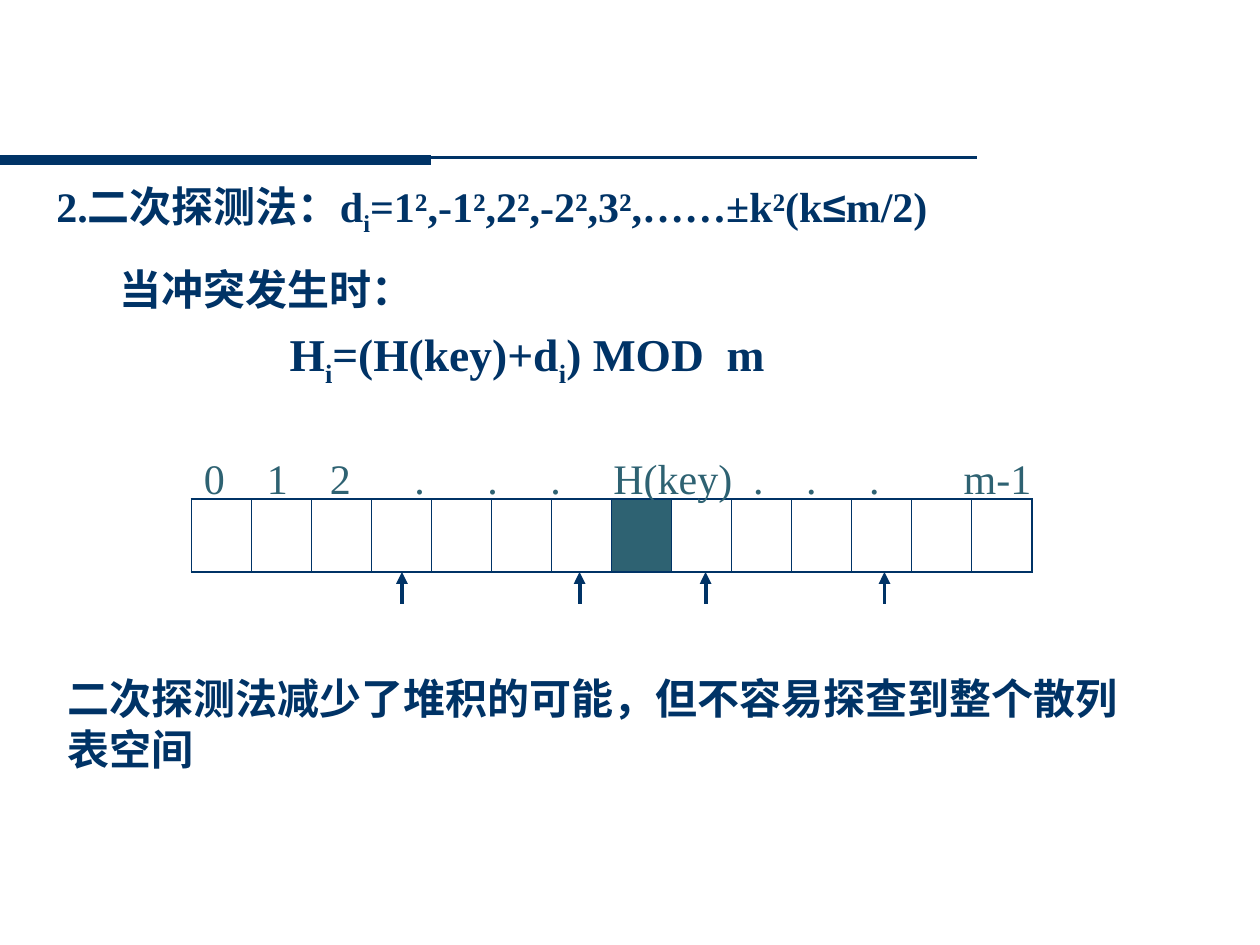
from pptx import Presentation
from pptx.dml.color import RGBColor
from pptx.enum.shapes import MSO_CONNECTOR
from pptx.enum.text import MSO_ANCHOR, PP_ALIGN
from pptx.oxml.ns import qn
from pptx.util import Inches, Pt
from lxml import etree

LINE = MSO_CONNECTOR.STRAIGHT
MIDDLE = MSO_ANCHOR.MIDDLE
LEFT, CENTER = PP_ALIGN.LEFT, PP_ALIGN.CENTER
FONT = "Times New Roman"
NAVY, TEAL = "003366", "2E6272"
SUB = "sub"
CELLS, KEY = 14, 7
TABLE = (1.52, 3.96, 6.67, 0.58)
LABELS = ["0", "1", "2", ".", ".", ".", "H(key)", ".", ".", ".", "m-1"]
STOPS = [0.5, 1, 1.67, 2.25, 2.75, 3.25, 4.36, 4.78, 5.28, 6.03]


def color(code):
    return RGBColor.from_string(code)


def add_line(slide, start, end, width, arrow=False):
    line = slide.shapes.add_connector(LINE, *(Inches(v) for v in start + end))
    line.line.color.rgb = color(NAVY)
    line.line.width = Pt(width)
    if arrow:
        etree.SubElement(line.line._get_or_add_ln(), qn("a:tailEnd"), type="triangle")
    etree.SubElement(line._element.spPr, qn("a:effectLst"))


def add_text(slide, box, runs, size=24, bold=True, code=NAVY, align=LEFT,
             space=None, stops=()):
    """Each run is a (text, style) pair: style is SUB, a font name or None."""
    shape = slide.shapes.add_textbox(*(Inches(v) for v in box))
    frame = shape.text_frame
    frame.word_wrap = True
    para = frame.paragraphs[0]
    para.alignment = align
    if space:
        para.line_spacing = space
    if stops:
        tabs = etree.SubElement(para._p.get_or_add_pPr(), qn("a:tabLst"))
        for stop in stops:
            etree.SubElement(tabs, qn("a:tab"), pos=str(Inches(stop)), algn="l")
    font = para.font
    font.name, font.size, font.bold = FONT, Pt(size), bold
    font.color.rgb = color(code)
    for text, style in runs:
        run = para.add_run()
        run.text = text
        if style == SUB:
            run.font._element.set("baseline", "-25000")
        elif style:
            run.font.name = style
    return frame


def add_border(cell, side, width):
    edge = etree.SubElement(cell._tc.get_or_add_tcPr(), qn("a:" + side),
                            w=str(Pt(width)))
    fill = etree.SubElement(edge, qn("a:solidFill"))
    etree.SubElement(fill, qn("a:srgbClr"), val=NAVY)


def add_cells(slide):
    frame = slide.shapes.add_table(1, CELLS, *(Inches(v) for v in TABLE))
    table = frame.table
    table.first_row = table.horz_banding = False
    for i, cell in enumerate(table.rows[0].cells):
        table.columns[i].width = Inches(TABLE[2] / CELLS)
        add_border(cell, "lnL", 1.08 if i == 0 else 0.45)
        add_border(cell, "lnR", 1.08 if i == CELLS - 1 else 0.45)
        add_border(cell, "lnT", 1.08)
        add_border(cell, "lnB", 1.08)
        if i == KEY:
            cell.fill.solid()
            cell.fill.fore_color.rgb = color(TEAL)
        else:
            cell.fill.background()


def add_labels(slide):
    frame = add_text(slide, (1.52, 3.59, 6.84, 0.4), [("\t".join(LABELS), None)],
                     bold=False, code=TEAL, stops=STOPS)
    frame.margin_top = frame.margin_bottom = 0
    frame.vertical_anchor = MIDDLE


def main():
    deck = Presentation()
    deck.slide_width, deck.slide_height = Inches(10), Inches(7.5)
    slide = deck.slides.add_slide(deck.slide_layouts[6])

    add_line(slide, (7.75, 1.25), (0, 1.25), 1.5)
    add_line(slide, (0, 1.27), (3.42, 1.27), 6)

    add_text(slide, (0.35, 1.29, 8.67, 0.65),
             [("2.二次探测法：d", None), ("i", SUB),
              ("=1²,-1²,2²,-2²,3²,……±k²(k", None), ("≤", "Arial"), ("m/2)", None)],
             space=1.2)
    add_text(slide, (1.85, 2.54, 4.67, 0.6),
             [("H", None), ("i", SUB), ("=(H(key)+d", None), ("i", SUB),
              (") MOD  m", None)], size=26, align=CENTER)
    add_text(slide, (0.85, 2.04, 4.42, 0.5), [("当冲突发生时：", None)])

    add_cells(slide)
    add_labels(slide)
    base = TABLE[1] + TABLE[3]
    for gap in (-1.91, -0.5, 0.5, 1.92):
        x = 5.1 + gap
        add_line(slide, (x, base + 0.25), (x, base), 2.25, arrow=True)

    add_text(slide, (0.44, 5.29, 8.83, 0.9),
             [("二次探测法减少了堆积的可能，但不容易探查到整个散列表空间", None)])
    deck.save("out.pptx")


if __name__ == "__main__":
    main()
